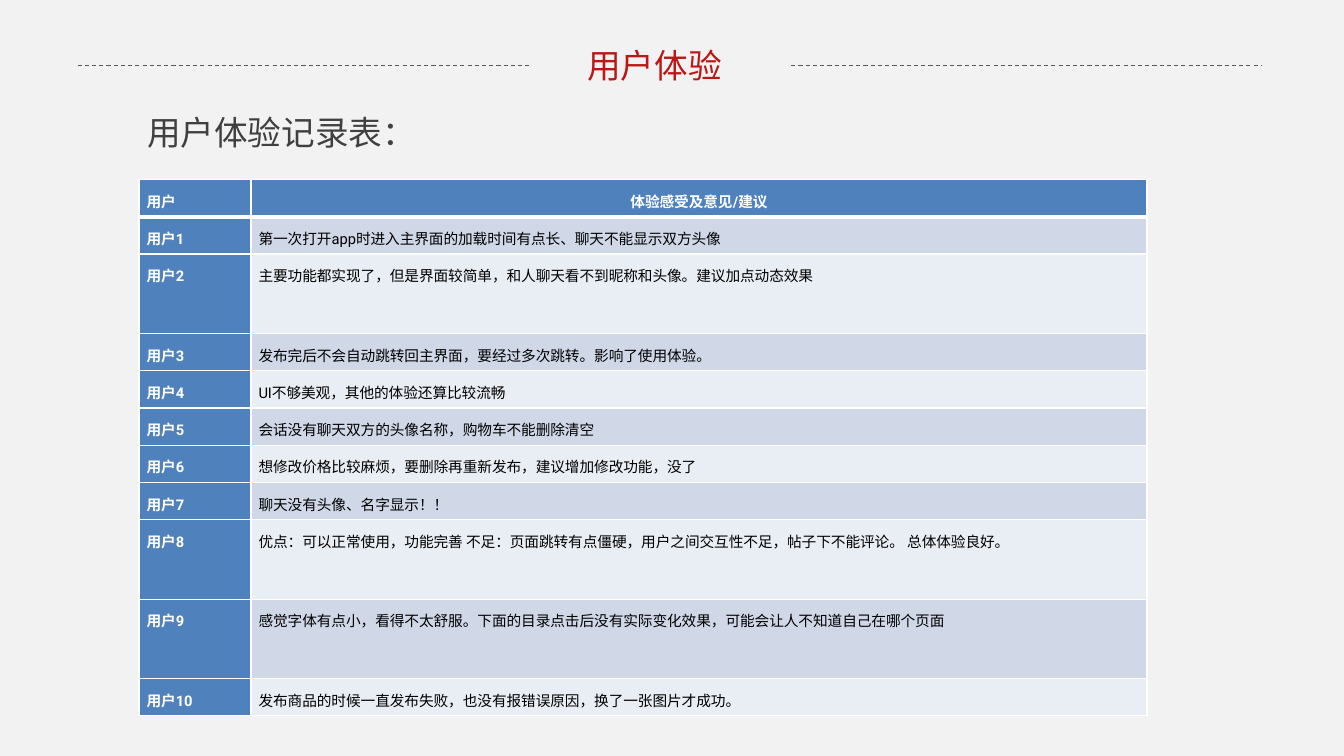
from lxml.etree import SubElement as Sub
from pptx import Presentation
from pptx.dml.color import RGBColor
from pptx.enum.dml import MSO_LINE
from pptx.enum.shapes import MSO_CONNECTOR
from pptx.enum.text import MSO_ANCHOR as Anchor, MSO_AUTO_SIZE as Fit, PP_ALIGN as Align
from pptx.oxml.ns import qn
from pptx.util import Pt

# Colours
PAPER = RGBColor(0xF2, 0xF2, 0xF2)
RED = RGBColor(0xBB, 0x17, 0x17)
DARK = RGBColor(0x40, 0x40, 0x40)
GREY = RGBColor(0x59, 0x59, 0x59)
BLUE = RGBColor(0x4F, 0x81, 0xBD)
BANDS = (RGBColor(0xE9, 0xED, 0xF4), RGBColor(0xD0, 0xD8, 0xE8))
WHITE = RGBColor(0xFF, 0xFF, 0xFF)
BLACK = RGBColor(0, 0, 0)

HAN = "Noto Sans CJK SC"
LOW, TALL = 26.6, 56.8

# Table rows: user, remark, height
ROWS = [
    ("用户", "体验感受及意见/建议", LOW),
    ("用户1", "第一次打开app时进入主界面的加载时间有点长、聊天不能显示双方头像", LOW),
    ("用户2", "主要功能都实现了，但是界面较简单，和人聊天看不到昵称和头像。建议加点动态效果", TALL),
    ("用户3", "发布完后不会自动跳转回主界面，要经过多次跳转。影响了使用体验。", LOW),
    ("用户4", "UI不够美观，其他的体验还算比较流畅", LOW),
    ("用户5", "会话没有聊天双方的头像名称，购物车不能删除清空", LOW),
    ("用户6", "想修改价格比较麻烦，要删除再重新发布，建议增加修改功能，没了", LOW),
    ("用户7", "聊天没有头像、名字显示！！", LOW),
    ("用户8", "优点：可以正常使用，功能完善 不足：页面跳转有点僵硬，用户之间交互性不足，"
             "帖子下不能评论。 总体体验良好。", TALL),
    ("用户9", "感觉字体有点小，看得不太舒服。下面的目录点击后没有实际变化效果，"
             "可能会让人不知道自己在哪个页面", TALL),
    ("用户10", "发布商品的时候一直发布失败，也没有报错误原因，换了一张图片才成功。", LOW),
]


def write(frame, text, font=HAN, size=24, color=DARK, bold=False,
          align=Align.LEFT, space=1.0):
    """Fill the first paragraph of a frame with formatted text."""
    para = frame.paragraphs[0]
    para.alignment, para.line_spacing, para.space_before = align, space, Pt(0)
    run = para.add_run()
    run.text = text
    run.font.name, run.font.size, run.font.bold = font, Pt(size), bold
    run.font.color.rgb = color
    Sub(run.font._element, qn("a:ea"), typeface=HAN)
    return para


class Page:
    def __init__(self, deck):
        self.slide = deck.slides.add_slide(deck.slide_layouts[1])
        self.slide.background.fill.solid()
        self.slide.background.fill.fore_color.rgb = PAPER

    def holder(self, index, box, text, anchor, wrap=True, **style):
        shape = self.slide.placeholders[index]
        shape.left, shape.top, shape.width, shape.height = map(Pt, box)
        frame = shape.text_frame
        frame.auto_size, frame.word_wrap = Fit.NONE, wrap
        frame.vertical_anchor = anchor
        return write(frame, text, **style)

    def title(self, box, text):
        self.holder(0, box, text, Anchor.MIDDLE, wrap=False, color=RED, align=Align.CENTER)

    def body(self, box, text):
        para = self.holder(1, box, text, Anchor.TOP, font="Arial")
        props = para._p.get_or_add_pPr()
        props.set("marL", "0")
        props.set("indent", "0")
        Sub(props, qn("a:buNone"))

    def rule(self, left, right, y):
        line = self.slide.shapes.add_connector(
            MSO_CONNECTOR.STRAIGHT, Pt(left), Pt(y), Pt(right), Pt(y))
        line.line.color.rgb, line.line.width = GREY, Pt(0.75)
        line.line.dash_style = MSO_LINE.DASH
        Sub(line._element.spPr, qn("a:effectLst"))

    def cell(self, cell, text, fill, top, bottom, **style):
        props = cell._tc.get_or_add_tcPr()
        for side, width in zip("LRTB", (1, 1, top, bottom)):
            edge = Sub(props, qn(f"a:ln{side}"), w=str(Pt(width)))
            Sub(Sub(edge, qn("a:solidFill")), qn("a:srgbClr"), val=str(WHITE))
        cell.fill.solid()
        cell.fill.fore_color.rgb = fill
        cell.margin_left = cell.margin_right = Pt(5.4)
        cell.margin_top = cell.margin_bottom = 0
        write(cell.text_frame, text, font="Roboto", size=10.5, space=1.5, **style)

    def table(self, left, top, widths, rows):
        grid = self.slide.shapes.add_table(
            len(rows), len(widths), Pt(left), Pt(top),
            Pt(sum(widths)), Pt(sum(row[-1] for row in rows))).table
        for column, width in zip(grid.columns, widths):
            column.width = Pt(width)
        for r, (*texts, height) in enumerate(rows):
            grid.rows[r].height = Pt(height)
            for c, text in enumerate(texts):
                head = r == 0 or c == 0
                self.cell(grid.cell(r, c), text,
                          fill=BLUE if head else BANDS[r % 2],
                          top=3 if r == 1 else 1, bottom=3 if r == 0 else 1,
                          color=WHITE if head else BLACK, bold=head,
                          align=Align.CENTER if r == 0 and c else Align.JUSTIFY)


def main():
    deck = Presentation()
    deck.slide_width, deck.slide_height = Pt(960), Pt(540)
    page = Page(deck)

    # Heading between dashed rules
    page.title((411.8, 28.8, 111.6, 36), "用户体验")
    page.rule(55.4, 378.7, 46.8)
    page.rule(565.2, 901.4, 46.8)

    # Subheading and record table
    page.body((97.9, 76.3, 763.2, 65.5), "用户体验记录表：")
    page.table(99.3, 128.3, (80, 640), ROWS)

    deck.save("out.pptx")


if __name__ == "__main__":
    main()
